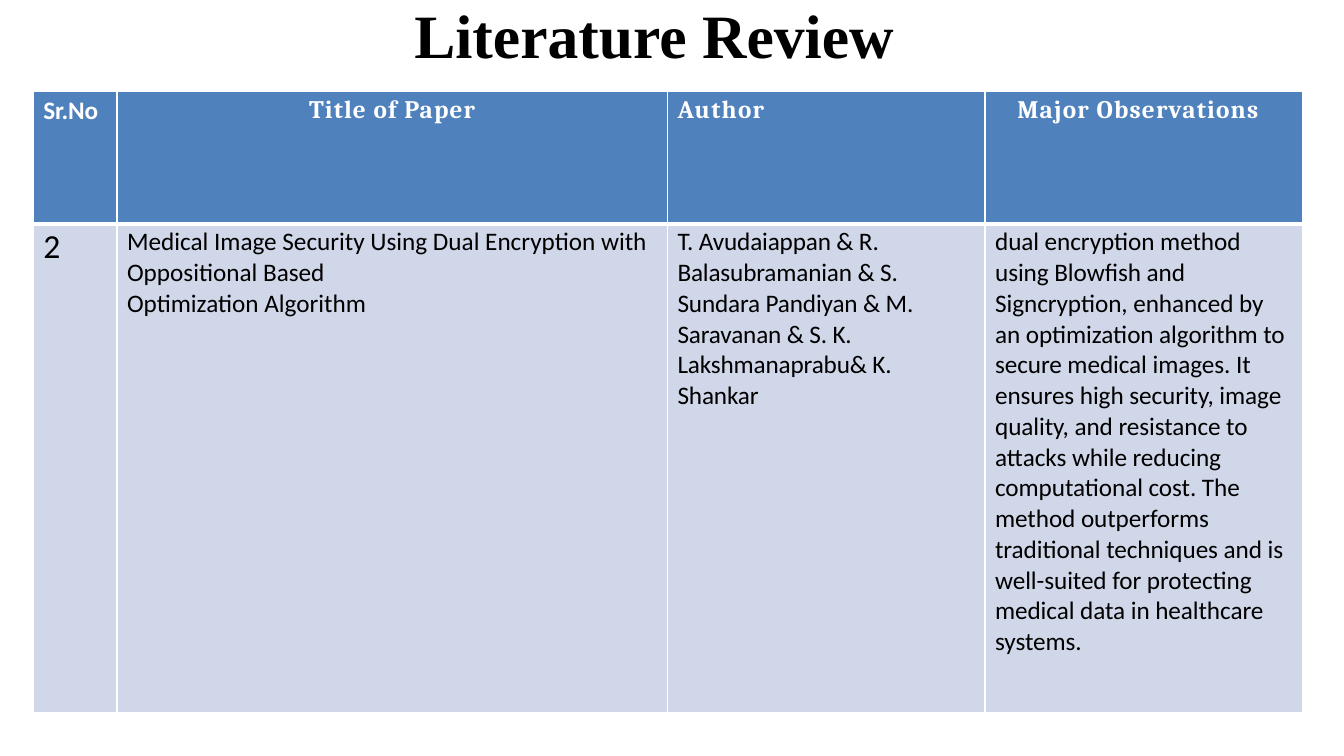
from dataclasses import dataclass

from lxml import etree
from pptx import Presentation
from pptx import util as u
from pptx.dml.color import RGBColor
from pptx.enum import text
from pptx.oxml.ns import qn


@dataclass(frozen=True)
class Theme:
    ink: str = "000000"
    white: str = "FFFFFF"
    header: str = "4F81BC"
    body: str = "D0D7E8"
    title_font: str = "Times New Roman"
    header_font: str = "Cambria"
    body_font: str = "Calibri"
    title_size: int = 44
    number_size: int = 24
    body_size: int = 18
    thin: float = 1
    thick: float = 3


T = Theme()
COLUMNS = (0.83, 5.46, 3.15, 3.15)
ROWS = (1.31, 4.85)

HEADERS = (
    ("Sr.No", dict(font=T.body_font, before=2.4, spacing=-0.1)),
    ("Title of Paper", dict(align=text.PP_ALIGN.CENTER, indent=0, before=3, spacing=0.8)),
    ("Author", dict(before=2.5, spacing=0.9)),
    ("Major Observations", dict(indent=0.32, before=3, spacing=0.85)),
)
PAPER = (
    ("2", dict(size=T.number_size, before=2, spacing=-0.5)),
    ("Medical Image Security Using Dual Encryption with Oppositional Based\n"
     "Optimization Algorithm", {}),
    ("T. Avudaiappan & R. Balasubramanian & S. Sundara Pandiyan & M. "
     "Saravanan & S. K. Lakshmanaprabu& K. Shankar", dict(spacing=-0.1)),
    ("dual encryption method using Blowfish and Signcryption, enhanced by an "
     "optimization algorithm to secure medical images. It ensures high security, "
     "image quality, and resistance to attacks while reducing computational cost. "
     "The method outperforms traditional techniques and is well-suited for "
     "protecting medical data in healthcare systems.", dict(spacing=-0.06)),
)


def write(tf, content, *, font=T.body_font, size=T.body_size, color=T.ink, bold=False,
          align=text.PP_ALIGN.LEFT, indent=0.1, before=2.4, spacing=0):
    """Fill a text frame, one paragraph per line; spacing is between letters, in points."""
    tf.word_wrap = True
    for i, line in enumerate(content.split("\n")):
        p = tf.add_paragraph() if i else tf.paragraphs[0]
        p.alignment = align
        p.space_before = u.Pt(0 if i else before)
        p_pr = p._p.get_or_add_pPr()
        p_pr.set("marL", str(u.Inches(indent)))
        p_pr.set("indent", "0")
        r = p.add_run()
        r.text = line
        r.font.name, r.font.size, r.font.bold = font, u.Pt(size), bold
        r.font.color.rgb = RGBColor.from_string(color)
        r._r.get_or_add_rPr().set("spc", str(round(spacing * 100)))


def set_borders(cell, **widths):
    tc_pr = cell._tc.get_or_add_tcPr()
    for side in "LRTB":
        ln = etree.SubElement(tc_pr, qn(f"a:ln{side}"), w=str(u.Pt(widths.get(side, T.thin))))
        fill = etree.SubElement(ln, qn("a:solidFill"))
        etree.SubElement(fill, qn("a:srgbClr"), val=T.white)


def add_title(s, content):
    sp = s.shapes.title
    sp.left, sp.top, sp.width, sp.height = map(u.Inches, (3.25, -0.04, 6.99, 0.93))
    tf = sp.text_frame
    tf.margin_left = tf.margin_right = tf.margin_bottom = 0
    tf.margin_top = u.Inches(0.01)
    tf.vertical_anchor = text.MSO_ANCHOR.TOP
    tf.auto_size = text.MSO_AUTO_SIZE.NONE
    write(tf, content, font=T.title_font, size=T.title_size, bold=True,
          indent=0.86, before=1)


def fill_row(row, entries, background, margins, borders, **defaults):
    """Write and format one table row; margins are top and right, in inches."""
    for cell, (content, style) in zip(row.cells, entries):
        cell.margin_left = cell.margin_bottom = 0
        cell.margin_top, cell.margin_right = map(u.Inches, margins)
        set_borders(cell, **borders)
        cell.fill.solid()
        cell.fill.fore_color.rgb = RGBColor.from_string(background)
        write(cell.text_frame, content, **{**defaults, **style})


def add_review_table(s):
    frame = s.shapes.add_table(len(ROWS), len(COLUMNS), u.Inches(0.33), u.Inches(0.91),
                               u.Inches(sum(COLUMNS)), u.Inches(sum(ROWS)))
    table = frame.table
    table.horz_banding = False
    for column, width in zip(table.columns, COLUMNS):
        column.width = u.Inches(width)
    for row, height in zip(table.rows, ROWS):
        row.height = u.Inches(height)
    fill_row(table.rows[0], HEADERS, T.header, (0.04, 0), {"B": T.thick},
             font=T.header_font, color=T.white, bold=True)
    fill_row(table.rows[1], PAPER, T.body, (0.03, 0.12), {"T": T.thick})


def main():
    prs = Presentation()
    prs.slide_width, prs.slide_height = u.Inches(13.33), u.Inches(7.5)
    s = prs.slides.add_slide(prs.slide_layouts[5])
    add_title(s, "Literature Review")
    add_review_table(s)
    prs.save("out.pptx")


if __name__ == "__main__":
    main()
